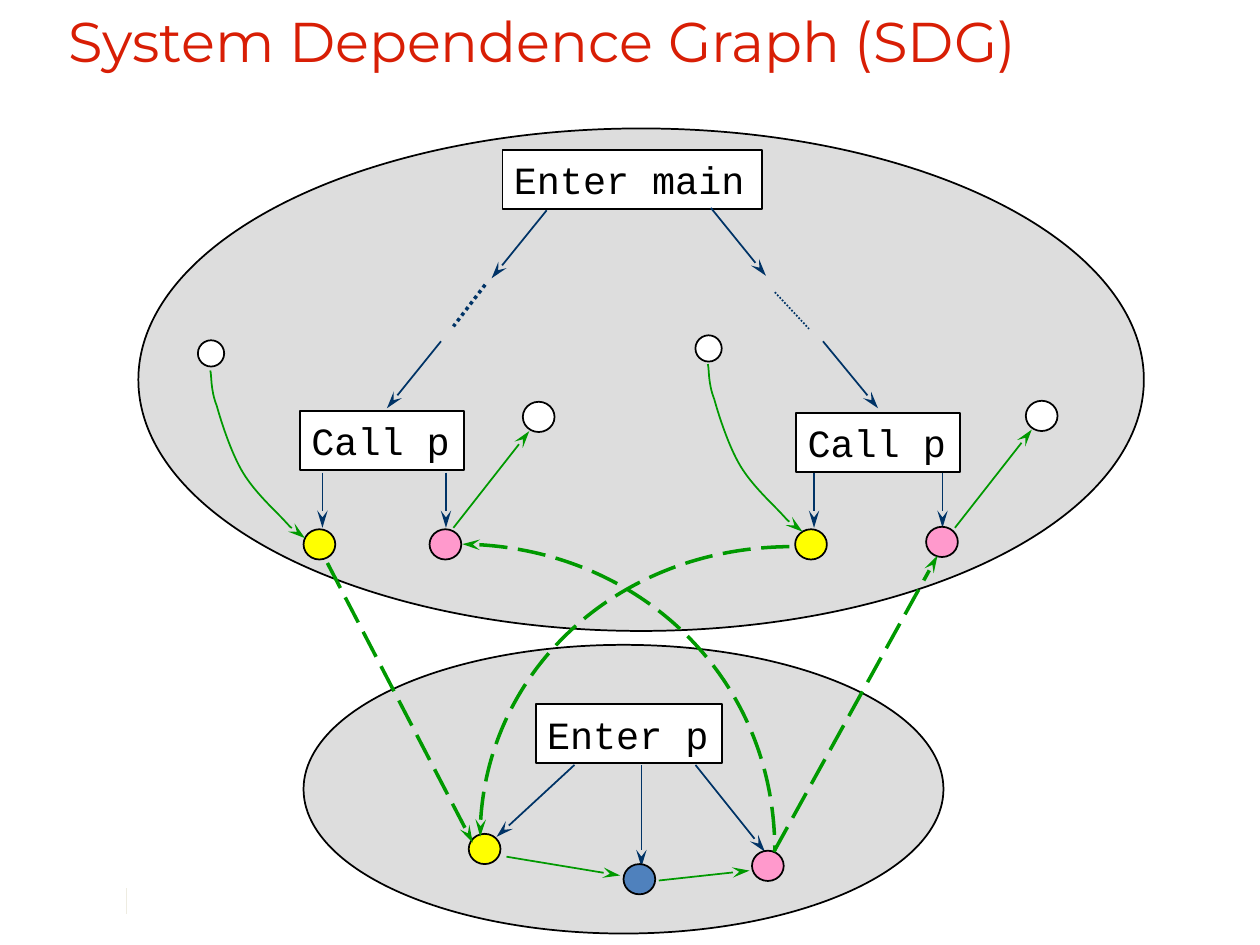
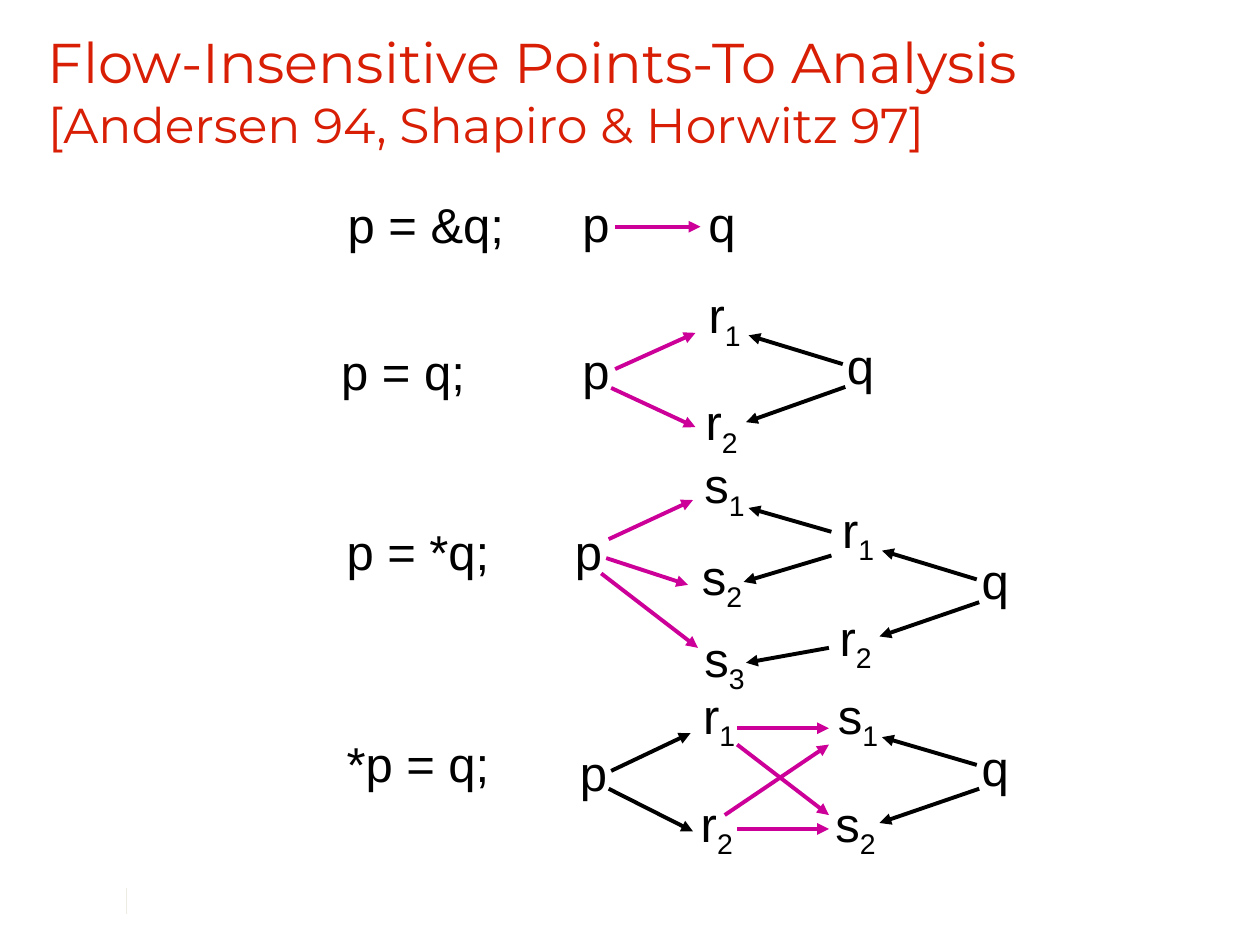
import lxml.etree
import pptx
import pptx.dml.color
import pptx.enum.dml
import pptx.enum.shapes
import pptx.enum.text
import pptx.oxml.ns
import pptx.util

Cm, Pt = pptx.util.Cm, pptx.util.Pt
qn = pptx.oxml.ns.qn
FORM = pptx.enum.shapes.MSO_SHAPE
DASH = pptx.enum.dml.MSO_LINE
ALIGN = pptx.enum.text.PP_ALIGN
ANCHOR = pptx.enum.text.MSO_ANCHOR

# Shared look
RED, BLACK, WHITE, GREY = "D81E05", "000000", "FFFFFF", "DDDDDD"
NAVY, GREEN, PURPLE, PALE = "003366", "009900", "CC0099", "EEECE1"
YELLOW, PINK, BLUE = "FFFF00", "FF99CC", "4F81BD"
HEAD = {"name": "Montserrat", "size": Pt(32)}
CODE = {"name": "Courier New", "size": Pt(22)}
BODY = {"name": "Arial", "size": Pt(28)}
BARB = {"type": "stealth", "w": "med", "len": "lg"}
WEDGE = {"type": "triangle"}
TICK = (2.54, 17.91, 2.54, 18.42)

# Dependence graph: lengths in cm
AREAS = [(2.79, 2.59, 20.27, 10.13), (6.12, 13, 12.9, 5.82)]
BOXES = [
    ("Enter main", 10.13, 3.02, 5.23), ("Call p", 6.05, 8.28, 3.3),
    ("Call p", 16.05, 8.33, 3.3), ("Enter p", 10.8, 14.2, 3.76),
]
BOX_H = 1.19
DOTS = {
    WHITE: [(10.54, 8.1), (20.68, 8.08)],
    YELLOW: [(6.12, 10.67), (16.03, 10.67), (9.45, 16.81)],
    PINK: [(8.66, 10.67), (18.67, 10.62), (15.16, 17.15)],
    BLUE: [(12.57, 17.42)],
}
DOT_W, DOT_H, SMALL = 0.64, 0.61, 0.53
CALLS = [
    (11.02, 4.24, 9.91, 5.61), (14.33, 4.19, 15.44, 5.56),
    (11.58, 15.42, 10.01, 16.87), (14.02, 15.42, 15.42, 17.17),
    (12.93, 15.42, 12.93, 17.48),
    (8.89, 6.88, 7.8, 8.23), (16.59, 6.88, 17.7, 8.23),
]
DROPS = [6.5, 8.99, 16.41, 19]
DROP_TOP, DROP_END = 9.53, 10.64
GAPS = [((9.78, 5.74, 9.14, 6.58), 2), ((15.62, 5.89, 16.31, 6.63), 1)]
FLOWS = [
    (9.14, 10.64, 10.67, 8.69), (19.25, 10.64, 20.8, 8.66),
    (10.21, 17.27, 12.5, 17.65), (13.28, 17.75, 15.11, 17.55),
]
PARAMS = [(15.6, 17.17, 18.9, 11.2), (6.6, 11.35, 9.53, 16.99)]
ARCS = [
    [(9.68, 16.87), (9.68, 13.64), (12.5, 11.02), (15.98, 11.02)],
    [(9.32, 10.97), (12.83, 11), (15.62, 13.74), (15.62, 17.15)],
]
# Small circle and the start of the bend below it
BENDS = [((3.99, 6.86), (4.24, 7.47)), ((14.02, 6.76), (14.27, 7.34))]
BEND = [
    (0, 0), (0.03, 0.1), (0, 0.38), (0.13, 0.71),
    (0.23, 1.07), (0.43, 1.68), (0.66, 2.06),
    (0.89, 2.44), (1.27, 2.79), (1.47, 3),
    (1.68, 3.23), (1.8, 3.3), (1.91, 3.38),
]

# Points-to rules: statement with place, nodes, new edges, given edges
RULES = [
    (("p = &q;", 6.73, 3.78, 3.71),
     [("p", 11.48, 3.76), ("q", 14.02, 3.76)],
     [(12.4, 4.57, 14.12, 4.57)],
     []),
    (("p = q;", 6.6, 6.76, 3.05),
     [("p", 11.48, 6.73), ("r1", 14, 5.69), ("r2", 13.94, 7.85),
      ("q", 16.81, 6.63)],
     [(12.4, 7.44, 14.02, 6.71), (12.32, 7.82, 14.02, 8.61)],
     [(16.99, 7.34, 15.09, 6.76), (17.04, 7.8, 15.04, 8.51)]),
    (("p = *q;", 6.71, 10.39, 3.43),
     [("p", 11.33, 10.39), ("s1", 13.92, 9.12), ("s2", 13.87, 10.97),
      ("s3", 13.92, 12.62), ("r1", 16.69, 10.01), ("r2", 16.64, 12.19),
      ("q", 19.53, 10.97)],
     [(12.27, 10.87, 13.97, 10.08), (12.22, 11.25, 13.87, 11.79),
      (12.12, 11.56, 14.07, 13.06)],
     [(19.69, 11.68, 17.78, 11.1), (19.74, 12.14, 17.73, 12.83),
      (16.76, 10.72, 15.09, 10.24), (16.76, 11.2, 14.99, 11.73),
      (16.71, 13.06, 15.04, 13.36)]),
    (("*p = q;", 6.71, 14.66, 3.43),
     [("p", 11.43, 14.83), ("r1", 13.89, 13.77), ("r2", 13.84, 15.95),
      ("s1", 16.61, 13.77), ("s2", 16.56, 15.95), ("q", 19.53, 14.73)],
     [(14.86, 14.68, 16.71, 14.68), (14.86, 16.71, 16.71, 16.71),
      (14.86, 15.01, 16.71, 16.43), (14.61, 16.43, 16.71, 15.01)],
     [(12.32, 15.54, 13.92, 14.78), (12.27, 15.9, 13.97, 16.76),
      (19.69, 15.42, 17.78, 14.86), (19.74, 15.9, 17.73, 16.59)]),
]
NODE_W = {"p": 1.07, "q": 1.07, "r": 1.22, "s": 1.37}
NODE_H = 1.45


def paint(color, tone):
    color.rgb = pptx.dml.color.RGBColor.from_string(tone)


def apply(item, values):
    for key, value in values.items():
        setattr(item, key, value)


def write(para, text, look, tone=BLACK):
    run = para.add_run()
    run.text = text
    apply(run.font, look)
    paint(run.font.color, tone)
    return run


def stroke(shape, tone, width=1, dash=None, tip=None, end="a:tailEnd"):
    line = shape.line
    paint(line.color, tone)
    line.width = Pt(width)
    if dash:
        line.dash_style = dash
    if tip:
        edge = shape._element.spPr.find(qn("a:ln"))
        lxml.etree.SubElement(edge, qn(end), tip)


def link(slide, ends, *style):
    kind = pptx.enum.shapes.MSO_CONNECTOR.STRAIGHT
    line = slide.shapes.add_connector(kind, *map(Cm, ends))
    stroke(line, *style)
    lxml.etree.SubElement(line._element.spPr, qn("a:effectLst"))
    return line


def shape(slide, form, place, tone):
    item = slide.shapes.add_shape(form, *map(Cm, place))
    item.shadow.inherit = False
    item.fill.solid()
    paint(item.fill.fore_color, tone)
    stroke(item, BLACK)
    return item


def curve(slide, knots, *style):
    """Draw a chain of cubic curves, three knots to each."""
    spots = [tuple(map(Cm, knot)) for knot in knots]
    pen = slide.shapes.build_freeform(*spots[0])
    pen.add_line_segments(spots[1:], close=False)
    item = pen.convert_to_shape()
    # Join each three straight parts into one curve
    parts = list(item._element.spPr.iter(qn("a:lnTo")))
    track = parts[0].getparent()
    for i in range(0, len(parts), 3):
        bow = lxml.etree.SubElement(track, qn("a:cubicBezTo"))
        for part in parts[i:i + 3]:
            bow.append(part[0])
            track.remove(part)
    item.shadow.inherit = False
    item.fill.background()
    stroke(item, *style)


def label(slide, text, left, top, width, sub=""):
    box = slide.shapes.add_textbox(*map(Cm, (left, top, width, NODE_H)))
    frame = box.text_frame
    apply(frame, {"word_wrap": False, "vertical_anchor": ANCHOR.MIDDLE})
    para = frame.paragraphs[0]
    para.alignment = ALIGN.CENTER
    write(para, text, BODY)
    if sub:
        run = write(para, sub, BODY)
        run._r.get_or_add_rPr().set("baseline", "-25000")


def begin(deck, place, title, note=""):
    slide = deck.slides.add_slide(deck.slide_layouts[5])
    head = slide.shapes.title
    apply(head, dict(zip(("left", "top", "width", "height"), map(Cm, place))))
    apply(head.text_frame, {
        "word_wrap": True, "vertical_anchor": ANCHOR.TOP,
        "auto_size": pptx.enum.text.MSO_AUTO_SIZE.NONE})
    para = head.text_frame.paragraphs[0]
    para.alignment = ALIGN.LEFT
    write(para, title, HEAD, RED)
    if note:
        para.add_line_break()
        write(para, note, {**HEAD, "size": Pt(28)}, RED)
    return slide


def graph(deck):
    slide = begin(deck, (1.12, 0, 23.24, 2.13), "System Dependence Graph (SDG)")

    # The footer tick belongs to the master, so both slides show it
    tick = link(slide, TICK, PALE, 0.25)
    deck.slide_master.shapes._spTree.append(tick._element)

    for place in AREAS:
        shape(slide, FORM.OVAL, place, GREY)

    # Named boxes
    for text, left, top, width in BOXES:
        box = shape(slide, FORM.RECTANGLE, (left, top, width, BOX_H), WHITE)
        frame = box.text_frame
        apply(frame, {
            "word_wrap": True, "vertical_anchor": ANCHOR.TOP,
            "margin_left": Cm(0.23), "margin_right": Cm(0.23)})
        frame.paragraphs[0].alignment = ALIGN.LEFT
        write(frame.paragraphs[0], text, CODE)

    # Control edges
    drops = [(x, DROP_TOP, x, DROP_END) for x in DROPS]
    for ends in CALLS + drops:
        link(slide, ends, NAVY, 1, None, BARB)
    for ends, width in GAPS:
        link(slide, ends, NAVY, width, DASH.ROUND_DOT)

    # Nodes
    for tone, spots in DOTS.items():
        for spot in spots:
            shape(slide, FORM.OVAL, (*spot, DOT_W, DOT_H), tone)

    # Data edges
    for ends in FLOWS:
        link(slide, ends, GREEN, 1, None, BARB)
    for ends in PARAMS:
        link(slide, ends, GREEN, 2, DASH.LONG_DASH, BARB)
    for knots in ARCS:
        curve(slide, knots, GREEN, 2, DASH.LONG_DASH, BARB, "a:headEnd")
    for spot, (x, y) in BENDS:
        shape(slide, FORM.OVAL, (*spot, SMALL, SMALL), WHITE)
        knots = [(x + dx, y + dy) for dx, dy in BEND]
        curve(slide, knots, GREEN, 1, None, BARB)


def points(deck):
    slide = begin(deck, (0.71, 0.43, 23.88, 3.18),
                  "Flow-Insensitive Points-To Analysis",
                  "[Andersen 94, Shapiro & Horwitz 97]")
    for code, nodes, new, given in RULES:
        label(slide, *code)
        for name, left, top in nodes:
            label(slide, name[0], left, top, NODE_W[name[0]], name[1:])
        for tone, edges in ((PURPLE, new), (BLACK, given)):
            for ends in edges:
                link(slide, ends, tone, 2.25, None, WEDGE)


def main():
    deck = pptx.Presentation()
    apply(deck, {"slide_width": Cm(25.4), "slide_height": Cm(19.05)})
    graph(deck)
    points(deck)
    deck.save("out.pptx")


if __name__ == "__main__":
    main()
